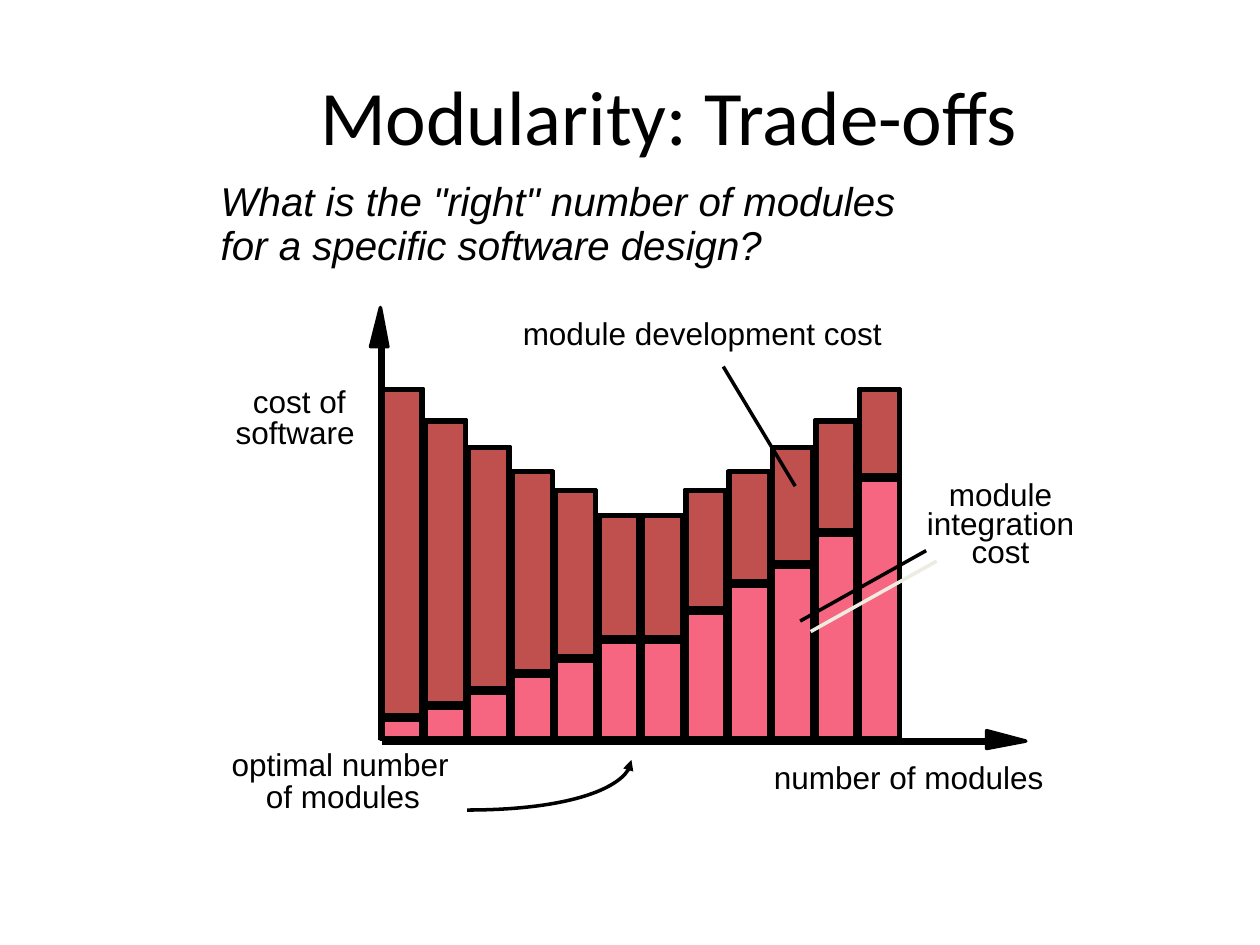
import lxml.etree
import pptx
import pptx.dml.color
import pptx.enum.shapes
import pptx.enum.text
import pptx.oxml.ns
import pptx.util

Cm = pptx.util.Cm
Pt = pptx.util.Pt
qn = pptx.oxml.ns.qn
CENTER = pptx.enum.text.PP_ALIGN.CENTER

COLORS = {
    "ink": "000000",
    "development": "C0504D",
    "integration": "F76681",
    "callout_shadow": "EEECE1",
}
TITLE = {"name": "Calibri", "size": Pt(44)}
QUESTION = {"name": "Arial", "size": Pt(23), "italic": True}
LABEL = {"name": "Arial", "size": Pt(18)}

# Bar tops in cm; development costs are symmetric around the optimum
FALLING_COSTS = [7.87, 8.51, 9.04, 9.53, 9.91, 10.41]
TOTAL_TOPS = FALLING_COSTS + FALLING_COSTS[::-1]
INTEGRATION_TOPS = [14.53, 14.27, 13.97, 13.64, 13.34, 12.95,
                    12.95, 12.37, 11.81, 11.43, 10.8, 9.68]
BAR_LEFT, BAR_WIDTH, BAR_PITCH = 7.72, 0.77, 0.875
BASELINE, SEGMENT_GAP, FRAME_MARGIN = 14.87, 0.11, 0.04


def rgb(color):
    return pptx.dml.color.RGBColor.from_string(COLORS[color])


def set_line(line, width=2):
    line.color.rgb = rgb("ink")
    line.width = Pt(width)


def set_fill(fill, color):
    if color:
        fill.solid()
        fill.fore_color.rgb = rgb(color)
    else:
        fill.background()


def add_text(slide, box, lines, font, indent=0, inset=(0.28, 0.13), **paragraph_format):
    frame = slide.shapes.add_textbox(*map(Cm, box)).text_frame
    margins = {
        "word_wrap": True,
        "margin_left": Cm(inset[0] + indent),
        "margin_right": 0,
        "margin_top": Cm(inset[1]),
        "margin_bottom": Cm(inset[1]),
    }
    for name, value in margins.items():
        setattr(frame, name, value)
    for number, line in enumerate(lines):
        paragraph = frame.add_paragraph() if number else frame.paragraphs[0]
        for name, value in paragraph_format.items():
            setattr(paragraph, name, value)
        run = paragraph.add_run()
        run.text = line
        for name, value in font.items():
            setattr(run.font, name, value)
        run.font.color.rgb = rgb("ink")


def add_rectangle(slide, left, top, width, height, color=None):
    rectangle = slide.shapes.add_shape(
        pptx.enum.shapes.MSO_SHAPE.RECTANGLE,
        Cm(left), Cm(top), Cm(width), Cm(height))
    rectangle.shadow.inherit = False
    set_fill(rectangle.fill, color)
    set_line(rectangle.line)


def add_segment(slide, left, top, bottom, color):
    """A filled bar segment with a slightly larger frame around it."""
    add_rectangle(slide, left, top, BAR_WIDTH, bottom - top, color)
    add_rectangle(slide, left - FRAME_MARGIN, top - FRAME_MARGIN,
                  BAR_WIDTH + 2 * FRAME_MARGIN,
                  bottom - top + 2 * FRAME_MARGIN)


def add_line(slide, start, end, width=2):
    """Draws a straight line and returns its effect list."""
    line = slide.shapes.add_connector(
        pptx.enum.shapes.MSO_CONNECTOR.STRAIGHT, *map(Cm, start + end))
    set_line(line.line, width)
    return lxml.etree.SubElement(line._element.spPr, qn("a:effectLst"))


def add_offset_shadow(effects, color):
    shadow = lxml.etree.SubElement(
        effects, qn("a:outerShdw"),
        dist=str(Pt(8.5)), dir=str(45 * 60000), algn="ctr", rotWithShape="0")
    lxml.etree.SubElement(shadow, qn("a:srgbClr"), val=COLORS[color])


def add_outline(slide, points, color=None, close=True):
    start, *rest = [(Cm(x), Cm(y)) for x, y in points]
    builder = slide.shapes.build_freeform(*start)
    builder.add_line_segments(rest, close=close)
    outline = builder.convert_to_shape()
    outline.shadow.inherit = False
    set_fill(outline.fill, color)
    set_line(outline.line)
    return outline


def add_curved_arrow(slide, points):
    """A Bézier curve (start, two controls, end) with its arrowhead at the start."""
    curve = add_outline(slide, points, close=False)
    geometry = curve._element.spPr.find(qn("a:custGeom"))
    segments = list(geometry.iter(qn("a:lnTo")))
    bezier = lxml.etree.SubElement(segments[0].getparent(), qn("a:cubicBezTo"))
    for segment in segments:
        bezier.append(segment[0])
        segment.getparent().remove(segment)
    lxml.etree.SubElement(curve.line._get_or_add_ln(), qn("a:headEnd"), type="triangle")


def add_bars(slide):
    for number, (top, split) in enumerate(zip(TOTAL_TOPS, INTEGRATION_TOPS)):
        left = BAR_LEFT + number * BAR_PITCH
        add_segment(slide, left, top, split - SEGMENT_GAP, "development")
        add_segment(slide, left, split, BASELINE, "integration")


def add_axes(slide):
    add_outline(slide, [(20.68, 14.94), (19.89, 15.09), (19.89, 14.73)], "ink")
    add_line(slide, (7.7, 14.94), (19.86, 14.94), 4)
    add_outline(slide, [(7.67, 6.2), (7.82, 6.99), (7.47, 6.99)], "ink")
    add_line(slide, (7.7, 14.91), (7.7, 6.93), 4)


def main():
    deck = pptx.Presentation()
    deck.slide_width, deck.slide_height = Cm(25.4), Cm(19.05)
    slide = deck.slides.add_slide(deck.slide_layouts[6])

    # Title and question
    add_text(slide, (6.17, 1.3, 14.63, 2.03), ["Modularity: Trade-offs"], TITLE,
             inset=(0, 0.08), alignment=CENTER)
    add_text(slide, (4.17, 3.43, 14.5, 1.27),
             ['What is the "right" number of modules'], QUESTION)
    add_text(slide, (4.17, 4.32, 11.56, 1.27),
             ["for a specific software design?"], QUESTION)

    # Stacked cost bars and axes
    add_bars(slide)
    add_axes(slide)

    # Axis labels
    add_text(slide, (3.76, 7.57, 3.53, 1.83), ["cost of"], LABEL, indent=1.06)
    add_text(slide, (3.76, 8.2, 3.71, 1.83), ["software"], LABEL, indent=0.71)
    add_text(slide, (15.32, 15.16, 6.05, 1.04), ["number of modules"], LABEL)

    # Cost callouts
    add_text(slide, (10.26, 6.2, 8.05, 1.83), ["module development cost"], LABEL)
    add_line(slide, (14.58, 7.39), (16.03, 9.8))
    add_text(slide, (18.39, 9.63, 3.56, 2.01), ["module", "integration", "cost"],
             LABEL, inset=(0, 0.13), alignment=CENTER, line_spacing=0.75)
    integration_effects = add_line(slide, (18.67, 11.1), (16.13, 12.52))
    add_offset_shadow(integration_effects, "callout_shadow")

    # Optimum callout
    add_text(slide, (4.39, 14.88, 4.98, 1.83), ["optimal number"], LABEL)
    add_text(slide, (4.55, 15.54, 4.24, 1.04), ["of modules"], LABEL, indent=0.53)
    add_curved_arrow(slide, [(12.73, 15.32), (12.73, 15.88), (11.25, 16.33), (9.42, 16.33)])

    deck.save("out.pptx")


if __name__ == "__main__":
    main()
